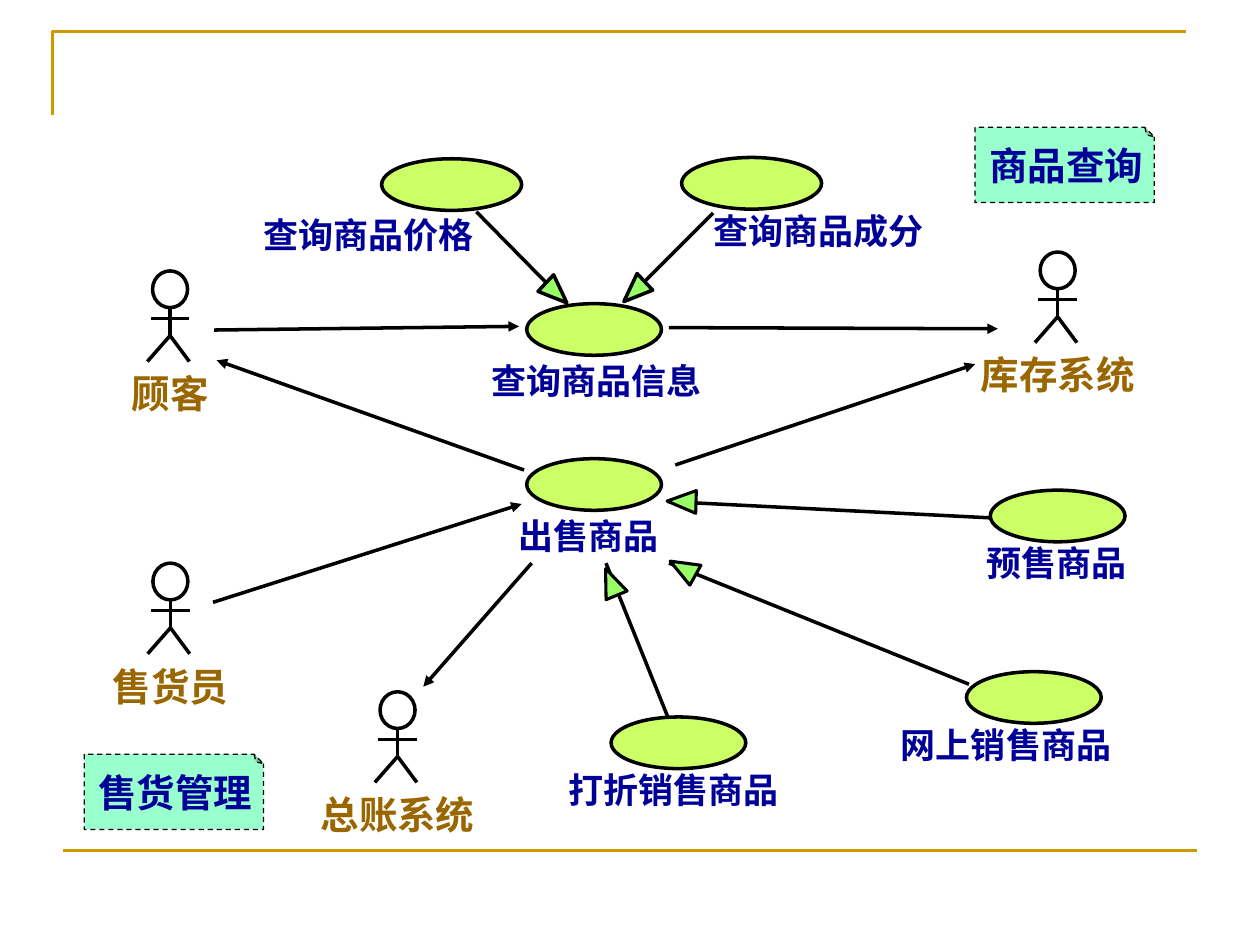
from lxml.etree import SubElement
from pptx import Presentation
from pptx.dml.color import RGBColor
from pptx.enum.dml import MSO_LINE
from pptx.enum.shapes import MSO_CONNECTOR, MSO_SHAPE
from pptx.enum.text import MSO_ANCHOR, MSO_AUTO_SIZE, PP_ALIGN
from pptx.oxml.ns import qn
from pptx.util import Pt

BLACK, NAVY, BROWN, GOLD = "000000", "000099", "996600", "CC9900"
LIME, GREEN, MINT = "CCFF66", "99FF66", "99FFCC"
COMIC, ROMAN, HAN = "Comic Neue", "Times New Roman", "Noto Sans CJK SC"


def color(code):
    return RGBColor.from_string(code)


class Diagram:
    def __init__(self, slide):
        self.slide = slide
        self.shapes = slide.shapes

    def style(self, shape, fill, line=BLACK, width=2):
        shape.shadow.inherit = False
        if fill:
            shape.fill.solid()
            shape.fill.fore_color.rgb = color(fill)
        else:
            shape.fill.background()
        shape.line.color.rgb = color(line)
        shape.line.width = Pt(width)

    def shape(self, kind, x, y, w, h, fill=None, width=2):
        shape = self.shapes.add_shape(kind, Pt(x), Pt(y), Pt(w), Pt(h))
        self.style(shape, fill, width=width)
        return shape

    def line(self, start, end, arrow=False, tint=BLACK, width=2):
        points = [Pt(v) for v in (*start, *end)]
        line = self.shapes.add_connector(MSO_CONNECTOR.STRAIGHT, *points)
        line.line.color.rgb = color(tint)
        line.line.width = Pt(width)
        if arrow:
            SubElement(line.line._get_or_add_ln(), qn("a:tailEnd"), type="triangle")
        SubElement(line._element.spPr, qn("a:effectLst"))

    def label(self, text, mid, top, size, tint, face=COMIC):
        wide, high = len(text) * size + 14.4, size * 1.5
        box = self.shapes.add_textbox(Pt(mid - wide / 2), Pt(top), Pt(wide), Pt(high))
        frame = box.text_frame
        frame.word_wrap = False
        frame.auto_size = MSO_AUTO_SIZE.SHAPE_TO_FIT_TEXT
        frame.vertical_anchor = MSO_ANCHOR.MIDDLE
        para = frame.paragraphs[0]
        para.text = text
        para.alignment = PP_ALIGN.CENTER
        font = para.font
        font.size, font.bold, font.name = Pt(size), True, face
        font.color.rgb = color(tint)
        SubElement(font._rPr, qn("a:ea"), typeface=HAN)

    def actor(self, text, mid, top, face=COMIC):
        neck, arms, hip, feet = (top + d for d in (21.6, 27.2, 37, 51.8))
        self.shape(MSO_SHAPE.OVAL, mid - 10, top, 20, 21)
        self.line((mid, hip), (mid - 13, feet))
        self.line((mid, hip), (mid + 11, feet))
        self.line((mid, neck), (mid, hip))
        self.line((mid - 11, arms), (mid + 11, arms))
        self.label(text, mid, top + 53.5, 22, BROWN, face)

    def case(self, text, mid, top, side, below, wide=77, face=COMIC):
        self.shape(MSO_SHAPE.OVAL, mid - wide / 2, top, wide, 29.5, LIME)
        self.label(text, side, below, 20, NAVY, face)

    def inherit(self, start, end, mid, turn, width=1.75):
        self.line(start, end)
        wide, high = 13, 16.5
        head = self.shape(MSO_SHAPE.ISOSCELES_TRIANGLE, mid[0] - wide / 2,
                          mid[1] - high / 2, wide, high, GREEN, width)
        head.rotation = turn

    def note(self, text, x, y):
        note = self.shape(MSO_SHAPE.FOLDED_CORNER, x, y, 102.4, 43, MINT, 0.75)
        note.line.dash_style = MSO_LINE.DASH
        form = note._element.spPr
        form.xfrm.set("flipV", "1")
        fold = form.find(qn("a:prstGeom")).find(qn("a:avLst"))
        SubElement(fold, qn("a:gd"), name="adj", fmla="val 12500")
        self.label(text, x + 52, y + 5, 22, NAVY, ROMAN)

    def frame(self):
        build = self.shapes.build_freeform(Pt(30), Pt(66), 1.0)
        build.add_line_segments([(Pt(30), Pt(18)), (Pt(678), Pt(18))], close=False)
        self.style(build.convert_to_shape(), None, GOLD, 1.5)
        self.line((36, 486), (684, 486), tint=GOLD, width=1.5)


def main():
    deck = Presentation()
    deck.slide_width, deck.slide_height = Pt(720), Pt(540)
    art = Diagram(deck.slides.add_slide(deck.slide_layouts[6]))
    art.frame()

    for actor in (
        ("顾客", 97.2, 154.8, ROMAN),
        ("库存系统", 604.4, 144),
        ("售货员", 97.4, 321.8),
        ("总账系统", 227.2, 395.3),
    ):
        art.actor(*actor)

    for case in (
        ("查询商品价格", 258.1, 90.7, 210.6, 118.8, 80),
        ("查询商品成分", 429.5, 90, 467.6, 116.6, 80),
        ("查询商品信息", 339.5, 173.5, 340.9, 202.3),
        ("出售商品", 339.5, 262.1, 336.6, 290.9, 77, HAN),
        ("预售商品", 604.4, 280.1, 603.7, 306.7),
        ("网上销售商品", 590.8, 383.8, 574.9, 410.4),
        ("打折销售商品", 387.7, 409.7, 384.8, 436.3),
    ):
        art.case(*case)

    for start, end in (
        ((122.4, 188.6), (296.6, 186.5)),
        ((382.3, 187.2), (570.2, 187.9)),
        ((121.7, 344.2), (298.1, 288)),
        ((303.8, 321.8), (241.9, 392.4)),
        ((299.5, 268.6), (123.8, 205.9)),
        ((385.9, 265.7), (557.3, 208.1)),
    ):
        art.line(start, end, arrow=True)

    for link in (
        ((272.2, 121), (317.5, 167), (317.9, 167.4), 133.2, 2),
        ((407.5, 121.7), (362.9, 166.3), (362.5, 166.7), 226.8, 2),
        ((381.6, 409.7), (346.3, 321.8), (349.2, 332.6), 337.5),
        ((553.7, 391), (382.3, 321.8), (390.2, 324.7), 299.2),
        ((565.2, 295.9), (381.6, 286.6), (389.5, 286.6), 271.7),
    ):
        art.inherit(*link)

    art.note("商品查询", 557.2, 72.8)
    art.note("售货管理", 48.2, 431)
    deck.save("out.pptx")


if __name__ == "__main__":
    main()
